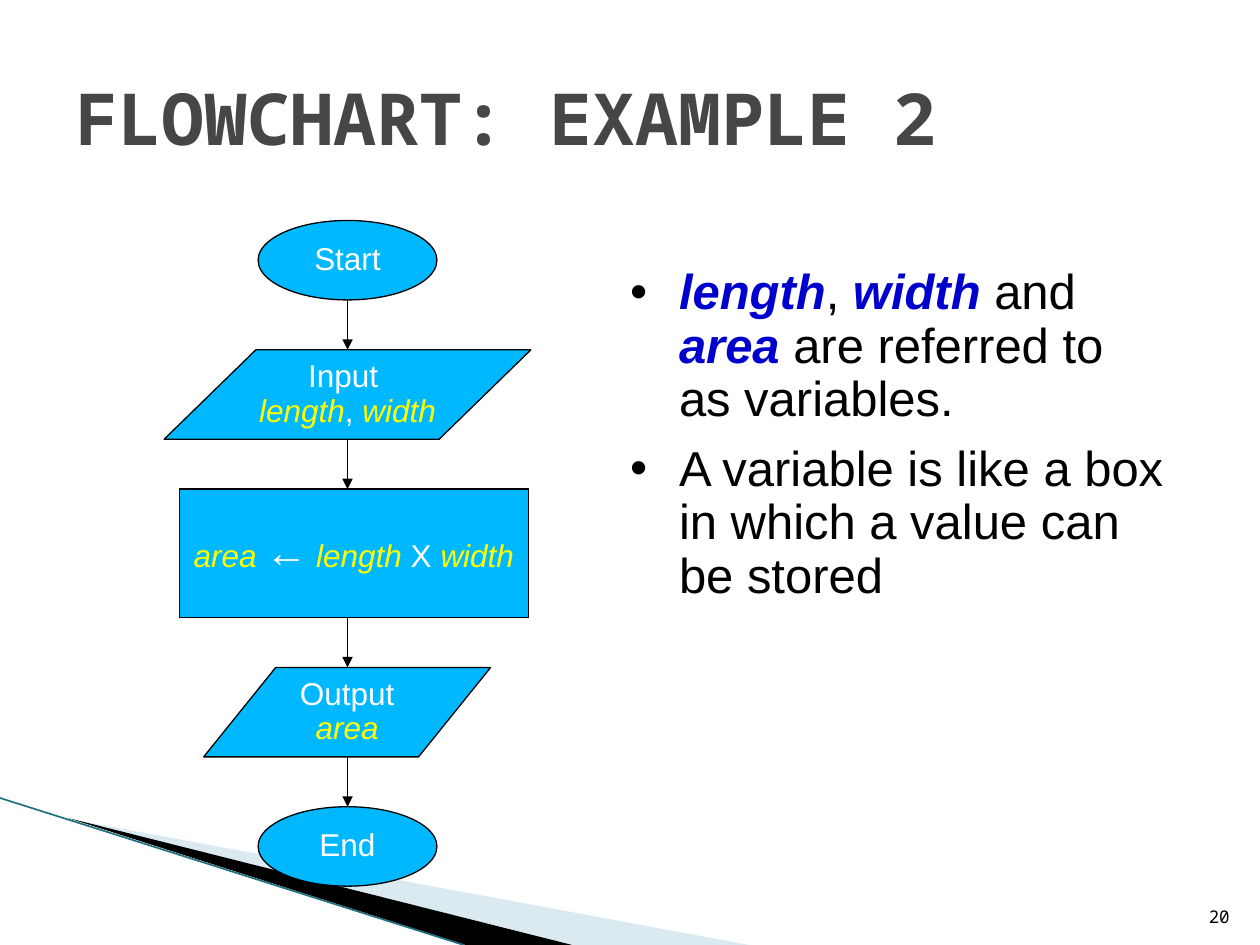
from lxml import etree
from pptx import Presentation
from pptx.dml.color import RGBColor
from pptx.enum.shapes import MSO_CONNECTOR, MSO_SHAPE
from pptx.enum.text import MSO_ANCHOR, MSO_AUTO_SIZE, PP_ALIGN
from pptx.oxml.ns import qn
from pptx.util import Pt

COLORS = {
    "black": "000000", "white": "FFFFFF", "title": "464646",
    "node": "00B8FF", "variable": "FFFF00", "term": "0000CC",
    "wedge": "A0CBDC", "edge": "1F7082",
}
SANS, MONO = "Arial", "Noto Sans Mono"
LINE_SPACING = 0.91


def rgb(name):
    return RGBColor.from_string(COLORS[name])


def add_element(parent, tag, **attributes):
    return etree.SubElement(parent, qn(tag), attributes)


class SlideBuilder:
    """Holds the slide and its text and line style."""

    def __init__(self, slide, font=SANS, line_width=0.75):
        self.slide = slide
        self.font = font
        self.line_width = line_width

    def place(self, shape, left, top, width, height):
        shape.left, shape.top = Pt(left), Pt(top)
        shape.width, shape.height = Pt(width), Pt(height)

    def add_run(self, paragraph, text, size, color, bold=False, italic=False, font=None):
        run = paragraph.add_run()
        run.text = text
        run.font.name = font or self.font
        run.font.size = Pt(size)
        run.font.bold, run.font.italic = bold, italic
        run.font.color.rgb = rgb(color)

    def title(self, text, box):
        shape = self.slide.shapes.title
        self.place(shape, *box)
        frame = shape.text_frame
        frame.auto_size = MSO_AUTO_SIZE.NONE
        frame.vertical_anchor = MSO_ANCHOR.MIDDLE
        frame.paragraphs[0].alignment = PP_ALIGN.LEFT
        self.add_run(frame.paragraphs[0], text, 41, "title", bold=True, font=MONO)

    def bullets(self, items, box, indent=28):
        shape = self.slide.placeholders[1]
        self.place(shape, *box)
        frame = shape.text_frame
        frame.auto_size = MSO_AUTO_SIZE.NONE
        frame.vertical_anchor = MSO_ANCHOR.TOP
        for index, runs in enumerate(items):
            paragraph = frame.add_paragraph() if index else frame.paragraphs[0]
            paragraph.line_spacing = LINE_SPACING
            paragraph.space_before, paragraph.space_after = Pt(0), Pt(9)
            properties = paragraph._p.get_or_add_pPr()
            properties.set("marL", str(Pt(indent)))
            properties.set("indent", str(-Pt(indent)))
            bullet_color = add_element(properties, "a:buClr")
            add_element(bullet_color, "a:srgbClr", val=COLORS["black"])
            add_element(properties, "a:buFont", typeface=SANS)
            add_element(properties, "a:buChar", char="•")
            for text, is_term in runs:
                color = "term" if is_term else "black"
                self.add_run(paragraph, text, 28, color, bold=is_term, italic=is_term)

    def label(self, text, box):
        frame = self.slide.shapes.add_textbox(*map(Pt, box)).text_frame
        frame.word_wrap = True
        frame.vertical_anchor = MSO_ANCHOR.BOTTOM
        frame.paragraphs[0].alignment = PP_ALIGN.RIGHT
        self.add_run(frame.paragraphs[0], text, 10, "black", font=MONO)

    def node(self, kind, box, lines, slant=None):
        shape = self.slide.shapes.add_shape(kind, *map(Pt, box))
        shape.shadow.inherit = False
        if slant is not None:
            shape.adjustments[0] = slant
        shape.fill.solid()
        shape.fill.fore_color.rgb = rgb("node")
        shape.line.color.rgb = rgb("black")
        shape.line.width = Pt(self.line_width)
        frame = shape.text_frame
        frame.word_wrap = False
        frame.vertical_anchor = MSO_ANCHOR.MIDDLE
        for index, runs in enumerate(lines):
            paragraph = frame.add_paragraph() if index else frame.paragraphs[0]
            paragraph.alignment = PP_ALIGN.CENTER
            paragraph.line_spacing = LINE_SPACING
            for text, color, size in runs:
                self.add_run(paragraph, text, size, color, italic=color == "variable")

    def line(self, start, end, color="black", width=None, arrow=False):
        connector = self.slide.shapes.add_connector(
            MSO_CONNECTOR.STRAIGHT, *map(Pt, start + end))
        connector.line.color.rgb = rgb(color)
        connector.line.width = Pt(width or self.line_width)
        if arrow:
            add_element(connector.line._get_or_add_ln(), "a:tailEnd", type="triangle")
        add_element(connector._element.spPr, "a:effectLst")

    def polygon(self, points, color, opacity=None):
        builder = self.slide.shapes.build_freeform(*map(Pt, points[0]))
        builder.add_line_segments([(Pt(x), Pt(y)) for x, y in points[1:]])
        shape = builder.convert_to_shape()
        shape.shadow.inherit = False
        shape.line.fill.background()
        shape.fill.solid()
        shape.fill.fore_color.rgb = rgb(color)
        if opacity is not None:
            color_element = shape._element.spPr.find(qn("a:solidFill"))[0]
            add_element(color_element, "a:alpha", val=str(opacity * 1000))


def white(text, size=18):
    return text, "white", size


def variable(text):
    return text, "variable", 18


def main():
    presentation = Presentation()
    presentation.slide_width, presentation.slide_height = Pt(720), Pt(540)
    slide = presentation.slides.add_slide(presentation.slide_layouts[1])
    builder = SlideBuilder(slide)

    # Corner decoration
    builder.polygon([(39.6, 468), (428, 540), (328, 540)], "wedge", opacity=40)
    builder.polygon([(39, 467.5), (327, 540), (266, 540)], "black")
    builder.line((0, 456), (265, 540), "edge", 0.95)

    # Title, page number and explanation
    builder.title("FLOWCHART: EXAMPLE 2", (36, 21.6, 648, 90))
    builder.label("20", (681, 504.7, 28.8, 28.8))
    builder.bullets([
        [("length", True), (", ", False), ("width", True), (" and ", False),
         ("area", True), (" are referred to as variables.", False)],
        [("A variable is like a box in which a value can be stored", False)],
    ], (352.8, 149, 321, 193))

    # Flowchart: kind, centre, width, height, text lines, slant
    nodes = [
        (MSO_SHAPE.OVAL, 198.6, 102.2, 45.4, [[white("Start")]], None),
        (MSO_SHAPE.PARALLELOGRAM, 198.6, 209.6, 51.1,
         [[white("Input ")],
          [variable("length"), white(", "), variable("width")]], 1.026),
        (MSO_SHAPE.RECTANGLE, 202.2, 199.6, 73.4,
         [[variable("area "), white("←", 24), white(" "), variable("length"),
           white(" X "), variable("width")]], None),
        (MSO_SHAPE.PARALLELOGRAM, 198.4, 164, 51.1,
         [[white("Output")], [variable("area")]], 0.806),
        (MSO_SHAPE.OVAL, 198.6, 102.2, 45.4, [[white("End")]], None),
    ]
    axis, top, gap = 198.6, 126, 28.5
    for index, (kind, center, width, height, lines, slant) in enumerate(nodes):
        if index:
            builder.line((axis, top - gap), (axis, top), arrow=True)
        builder.node(kind, (center - width / 2, top, width, height), lines, slant)
        top += height + gap

    presentation.save("out.pptx")


if __name__ == "__main__":
    main()
